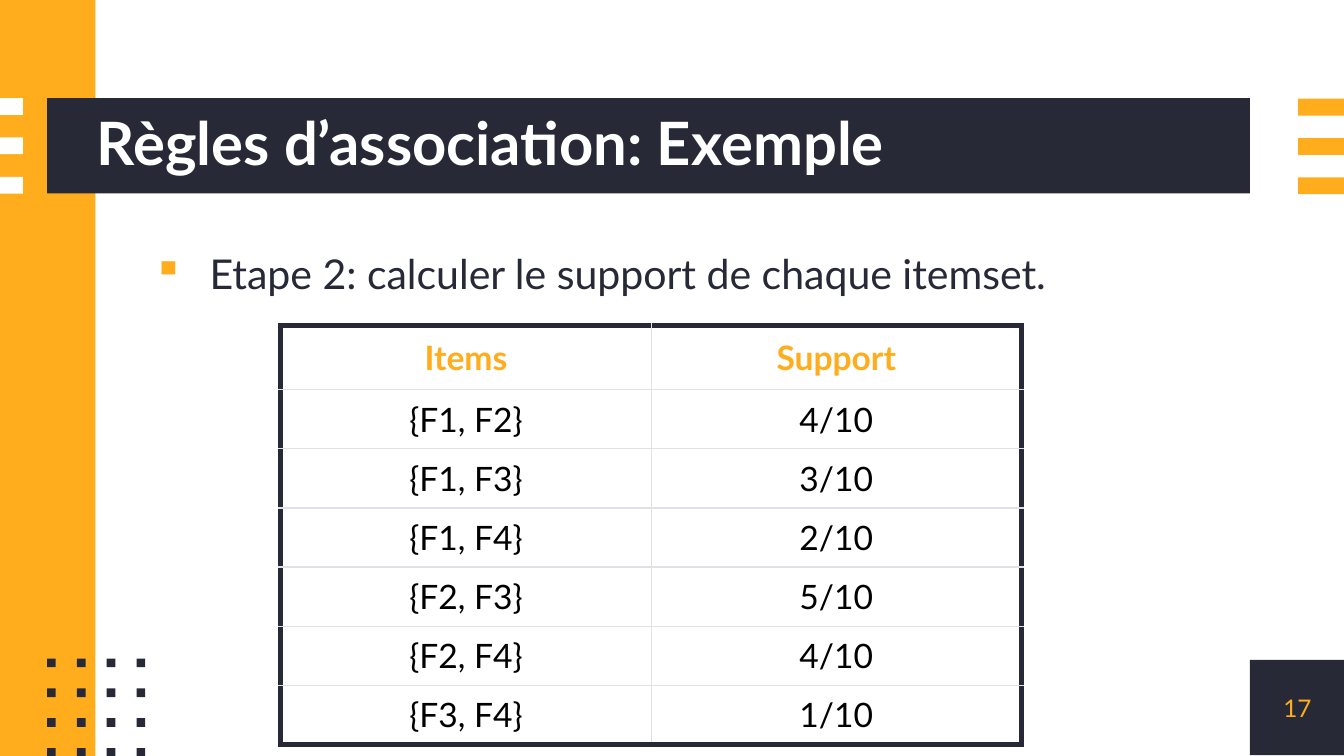
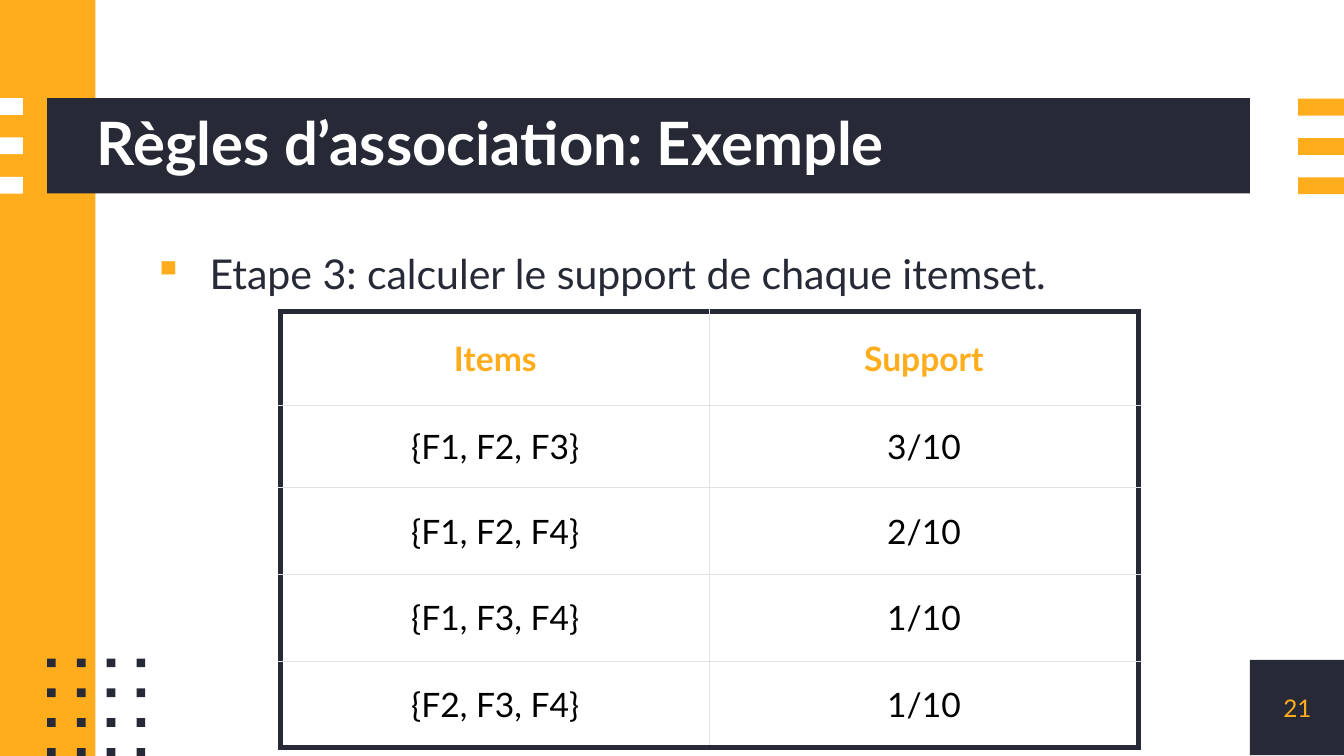
import itertools
from dataclasses import dataclass

import pptx
import pptx.dml.color
import pptx.enum.shapes
import pptx.enum.text
import pptx.oxml
import pptx.oxml.ns
import pptx.presentation
import pptx.slide
import pptx.table
import pptx.text.text
import pptx.util

RGBColor = pptx.dml.color.RGBColor
ALIGN = pptx.enum.text.PP_ALIGN
ANCHOR = pptx.enum.text.MSO_ANCHOR

NAVY = RGBColor(0x27, 0x2A, 0x36)
ORANGE = RGBColor(0xFF, 0xAD, 0x1D)
WHITE = RGBColor(0xFF, 0xFF, 0xFF)
BLACK = RGBColor(0x00, 0x00, 0x00)
PALE_GREY = RGBColor(0xE0, 0xE0, 0xE7)

FONT = "Lato"
SLIDE_WIDTH = pptx.util.Inches(10)
SLIDE_HEIGHT = pptx.util.Inches(5.625)
GRID_COLUMNS = 100
GRID_ROWS = 56.25


@dataclass(frozen=True)
class Area:
    column: float
    row: float
    columns: float
    rows: float

    def lengths(self) -> tuple[int, int, int, int]:
        return across(self.column), down(self.row), across(self.columns), down(self.rows)


@dataclass(frozen=True)
class Block:
    area: Area
    color: RGBColor


@dataclass(frozen=True)
class SupportSlide:
    number: int
    statement: str
    table_column: float
    table_row: float
    table_columns: float
    row_heights: list[float]
    supports: list[tuple[str, str]]


def across(columns: float) -> int:
    return round(SLIDE_WIDTH * columns / GRID_COLUMNS)


def down(rows: float) -> int:
    return round(SLIDE_HEIGHT * rows / GRID_ROWS)


TITLE = "Règles d’association: Exemple"
TITLE_AREA = Area(7.2, 7.3, 85.8, 7.1)
BODY_AREA = Area(10.6, 17.9, 79.5, 5.5)
NUMBER_AREA = Area(93, 49.1, 7.05, 7.1)
STRIPE_STEP = 2.93
DOT_STEP = 2.22

DECORATION = [
    Block(NUMBER_AREA, NAVY),
    Block(Area(0, 0, 7.1, GRID_ROWS), ORANGE),
    Block(Area(3.5, 7.3, 89.5, 7.1), NAVY),
    *[Block(Area(0, 7.3 + index * STRIPE_STEP, 1.7, 1.25), WHITE) for index in range(3)],
    *[
        Block(Area(3.5 + column * DOT_STEP, 49 + row * DOT_STEP, 0.65, 0.65), NAVY)
        for row, column in itertools.product(range(4), repeat=2)
    ],
    *[Block(Area(96.6, 7.35 + index * STRIPE_STEP, 3.4, 1.25), ORANGE) for index in range(3)],
]

SLIDES = [
    SupportSlide(
        17, "Etape 2: calculer le support de chaque itemset.", 20.9, 24.2, 55.1,
        [4.8, 4.1, 4.4, 4.4, 4.4, 4.4, 4.35],
        [("{F1, F2}", "4/10"), ("{F1, F3}", "3/10"), ("{F1, F4}", "2/10"),
         ("{F2, F3}", "5/10"), ("{F2, F4}", "4/10"), ("{F3, F4}", "1/10")],
    ),
    SupportSlide(
        21, "Etape 3: calculer le support de chaque itemset.", 20.9, 23.2, 63.8,
        [7, 6.1, 6.45, 6.45, 6.45],
        [("{F1, F2, F3}", "3/10"), ("{F1, F2, F4}", "2/10"),
         ("{F1, F3, F4}", "1/10"), ("{F2, F3, F4}", "1/10")],
    ),
]


def add_block(slide: pptx.slide.Slide, block: Block) -> None:
    shape = slide.shapes.add_shape(
        pptx.enum.shapes.MSO_SHAPE.RECTANGLE, *block.area.lengths())
    shape.shadow.inherit = False
    shape.fill.solid()
    shape.fill.fore_color.rgb = block.color
    shape.line.fill.background()


def write_text(
    frame: pptx.text.text.TextFrame,
    text: str,
    *,
    size: float,
    color: RGBColor,
    bold: bool = False,
    align: ALIGN = ALIGN.LEFT,
    line_spacing: float = 1.0,
    bullet: str = "",
) -> None:
    paragraph = frame.paragraphs[0]
    paragraph.alignment = align
    paragraph.line_spacing = line_spacing
    if bullet:
        add_bullet(paragraph, bullet)
    run = paragraph.add_run()
    run.text = text
    run.font.name = FONT
    run.font.size = pptx.util.Pt(size)
    run.font.bold = bold
    run.font.color.rgb = color


def add_bullet(paragraph: pptx.text.text._Paragraph, bullet: str) -> None:
    properties = paragraph._p.get_or_add_pPr()
    properties.set("marL", str(across(5)))
    properties.set("indent", str(-across(4.2)))
    namespace = pptx.oxml.ns.nsdecls("a")
    for xml in (
        f'<a:buClr {namespace}><a:srgbClr val="{ORANGE}"/></a:buClr>',
        f'<a:buChar {namespace} char="{bullet}"/>',
    ):
        properties.append(pptx.oxml.parse_xml(xml))


def add_text_frame(
    slide: pptx.slide.Slide, area: Area, anchor: ANCHOR
) -> pptx.text.text.TextFrame:
    frame = slide.shapes.add_textbox(*area.lengths()).text_frame
    frame.word_wrap = True
    frame.vertical_anchor = anchor
    frame.margin_left = frame.margin_right = frame.margin_top = frame.margin_bottom = 0
    return frame


def set_borders(cell: pptx.table._Cell, outer_sides: dict[str, bool]) -> None:
    properties = cell._tc.get_or_add_tcPr()
    namespace = pptx.oxml.ns.nsdecls("a")
    for side, outer in outer_sides.items():
        color, width = (NAVY, 3) if outer else (PALE_GREY, 0.75)
        properties.append(pptx.oxml.parse_xml(
            f'<a:ln{side} {namespace} w="{pptx.util.Pt(width)}">'
            f'<a:solidFill><a:srgbClr val="{color}"/></a:solidFill></a:ln{side}>'))


def add_support_table(slide: pptx.slide.Slide, content: SupportSlide) -> None:
    rows = [("Items", "Support"), *content.supports]
    area = Area(content.table_column, content.table_row,
                content.table_columns, sum(content.row_heights))
    table = slide.shapes.add_table(len(rows), 2, *area.lengths()).table
    table.first_row = False
    table.horz_banding = False
    for row, height in zip(table.rows, content.row_heights):
        row.height = down(height)
    for row_index, texts in enumerate(rows):
        header = row_index == 0
        for column_index, text in enumerate(texts):
            cell = table.cell(row_index, column_index)
            set_borders(cell, {
                "L": column_index == 0,
                "R": column_index == 1,
                "T": header,
                "B": row_index == len(rows) - 1,
            })
            cell.fill.background()
            cell.vertical_anchor = ANCHOR.MIDDLE
            cell.margin_left = cell.margin_right = across(1)
            cell.margin_top = cell.margin_bottom = down(0.7)
            write_text(cell.text_frame, text, size=18, bold=header,
                       color=ORANGE if header else BLACK, align=ALIGN.CENTER)


def add_support_slide(
    presentation: pptx.presentation.Presentation, content: SupportSlide
) -> None:
    slide = presentation.slides.add_slide(presentation.slide_layouts[6])
    for block in DECORATION:
        add_block(slide, block)
    write_text(add_text_frame(slide, TITLE_AREA, ANCHOR.MIDDLE), TITLE,
               size=32, color=WHITE, bold=True, line_spacing=0.9)
    write_text(add_text_frame(slide, BODY_AREA, ANCHOR.TOP), content.statement,
               size=22, color=NAVY, line_spacing=1.15, bullet="▪")
    write_text(add_text_frame(slide, NUMBER_AREA, ANCHOR.MIDDLE), str(content.number),
               size=13, color=ORANGE, align=ALIGN.CENTER)
    add_support_table(slide, content)


def main() -> None:
    presentation = pptx.Presentation()
    presentation.slide_width = SLIDE_WIDTH
    presentation.slide_height = SLIDE_HEIGHT
    for content in SLIDES:
        add_support_slide(presentation, content)
    presentation.save("out.pptx")


if __name__ == "__main__":
    main()
